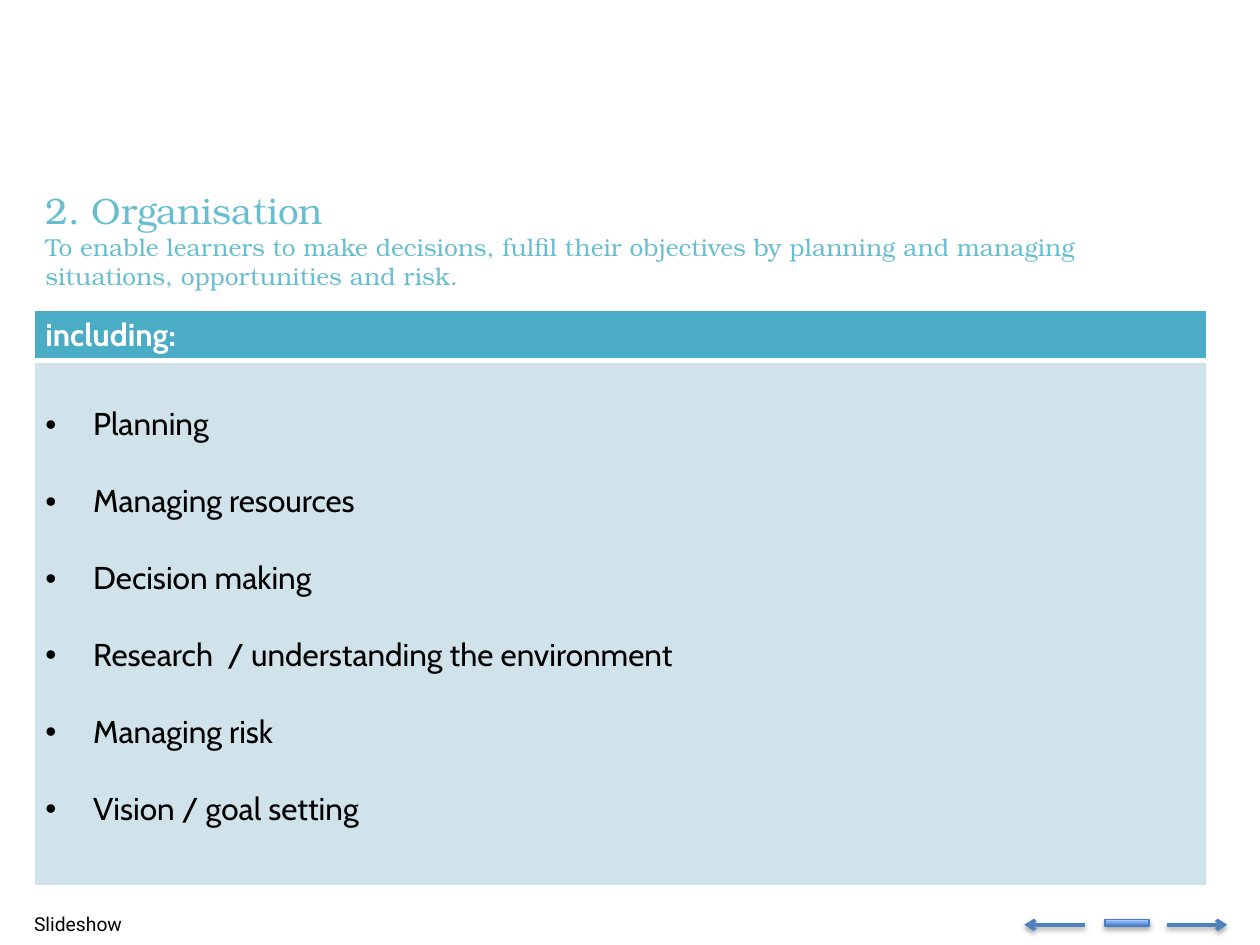
"""Build the Organisation slide: a heading, a list table and navigation marks."""
from dataclasses import dataclass
from typing import Any, Optional

from lxml import etree
from pptx import Presentation
from pptx.dml.color import RGBColor
from pptx.enum.shapes import MSO_CONNECTOR, MSO_SHAPE
from pptx.enum.text import MSO_ANCHOR, MSO_AUTO_SIZE, PP_ALIGN
from pptx.oxml.ns import qn
from pptx.util import Inches, Pt

STRAIGHT = MSO_CONNECTOR.STRAIGHT
RECTANGLE = MSO_SHAPE.RECTANGLE
TOP = MSO_ANCHOR.TOP
GROW = MSO_AUTO_SIZE.SHAPE_TO_FIT_TEXT
LEFT = PP_ALIGN.LEFT
TITLE_ONLY = 5
COLUMNS, ROWS = 100, 75
CELL = Inches(0.1)


@dataclass(frozen=True)
class TextStyle:
    size: float
    face: str
    color: str
    bold: bool = False


@dataclass(frozen=True)
class Theme:
    heading: TextStyle = TextStyle(21, "TeX Gyre Bonum", "67BED0")
    aim: TextStyle = TextStyle(14, "TeX Gyre Bonum", "67BED0")
    footer: TextStyle = TextStyle(11, "Roboto", "000000")
    header: TextStyle = TextStyle(18, "Cabin", "FFFFFF", True)
    item: TextStyle = TextStyle(18, "Cabin", "000000")
    header_fill: str = "4BACC6"
    list_fill: str = "D0E3EA"
    border: str = "FFFFFF"
    arrow: str = "4F81BD"
    bar_line: str = "4B7EBC"
    bar_stops: tuple[str, str] = ("3F80CE", "A4C4FF")


@dataclass(frozen=True)
class Area:
    column: float
    row: float
    columns: float
    rows: float

    def lengths(self) -> list[int]:
        return [grid(n) for n in (self.column, self.row, self.columns, self.rows)]


@dataclass(frozen=True)
class Arrow:
    start: float
    end: float


THEME = Theme()
HEADING_AREA = Area(2.7, 14.5, 92.3, 9.1)
FOOTER_AREA = Area(1.8, 72, 95.8, 2.7)
TABLE_AREA = Area(2.7, 24.6, 93.1, 45.6)
BAR_AREA = Area(87.7, 73, 3.5, 0.5)
HEADER_ROWS = 3.9
ARROW_ROW = 73.4
ARROWS = [Arrow(92.6, 97.4), Arrow(86.1, 81.3)]
HEADING = [
    ("2. Organisation", THEME.heading),
    ("To enable learners to make decisions, fulfil their objectives by planning "
     "and managing situations, opportunities and risk.", THEME.aim),
]
ITEMS = ["Planning", "Managing resources", "Decision making",
         "Research  / understanding the environment", "Managing risk",
         "Vision / goal setting"]


def grid(count: float) -> int:
    return round(count * CELL)


def set_values(target: Any, values: dict[str, Any]) -> None:
    for name, value in values.items():
        setattr(target, name, value)


def add_element(parent: Any, tag: str, **attributes: Any) -> Any:
    return etree.SubElement(parent, qn(tag), {k: str(v) for k, v in attributes.items()})


def write(frame: Any, lines: list[tuple[str, TextStyle]], bullet: Optional[str] = None) -> None:
    for index, (text, style) in enumerate(lines):
        para = frame.add_paragraph() if index else frame.paragraphs[0]
        para.alignment = LEFT
        if bullet:
            para.line_spacing = 2.0
            properties = para._p.get_or_add_pPr()
            properties.set("marL", str(Inches(0.38)))
            properties.set("indent", str(-Inches(0.38)))
            add_element(properties, "a:buFont", typeface="Arial")
            add_element(properties, "a:buChar", char=bullet)
        span = para.add_run()
        span.text = text
        set_values(span.font, {"size": Pt(style.size), "name": style.face, "bold": style.bold})
        span.font.color.rgb = RGBColor.from_string(style.color)


def fill_box(box: Any, area: Area, lines: list[tuple[str, TextStyle]]) -> None:
    set_values(box, dict(zip(("left", "top", "width", "height"), area.lengths())))
    set_values(box.text_frame, {
        "word_wrap": True, "auto_size": GROW, "vertical_anchor": TOP,
        "margin_left": Inches(0.09), "margin_right": Inches(0.09),
        "margin_top": Inches(0.04), "margin_bottom": Inches(0.04)})
    write(box.text_frame, lines)


def format_cell(cell: Any, fill: str, bottom: float) -> None:
    properties = cell._tc.get_or_add_tcPr()
    for side, width in (("L", 1), ("R", 1), ("T", 1), ("B", bottom)):
        line = add_element(properties, f"a:ln{side}", w=Pt(width))
        add_element(add_element(line, "a:solidFill"), "a:srgbClr", val=THEME.border)
    cell.fill.solid()
    cell.fill.fore_color.rgb = RGBColor.from_string(fill)
    set_values(cell, {"margin_left": Inches(0.09), "margin_right": Inches(0.09),
                      "margin_top": Inches(0.05), "margin_bottom": Inches(0.05)})


def add_list_table(page: Any) -> None:
    table = page.shapes.add_table(2, 1, *TABLE_AREA.lengths()).table
    table.horz_banding = False
    table.rows[0].height = grid(HEADER_ROWS)
    table.rows[1].height = grid(TABLE_AREA.rows - HEADER_ROWS)
    header, body = table.cell(0, 0), table.cell(1, 0)
    format_cell(header, THEME.header_fill, 3)
    format_cell(body, THEME.list_fill, 1)
    write(header.text_frame, [("including:", THEME.header)])
    write(body.text_frame, [(item, THEME.item) for item in ITEMS], "•")


def set_line(shape: Any, color: str, width: float) -> None:
    shape.line.color.rgb = RGBColor.from_string(color)
    shape.line.width = Pt(width)


def add_shadow(shape: Any, distance: float, opacity: int) -> None:
    effects = add_element(shape._element.spPr, "a:effectLst")
    shadow = add_element(effects, "a:outerShdw", blurRad=Pt(3.1), dist=Pt(distance),
                         dir=90 * 60000, rotWithShape=0)
    color = add_element(shadow, "a:srgbClr", val="000000")
    add_element(color, "a:alpha", val=opacity * 1000)


def add_arrow(page: Any, arrow: Arrow) -> None:
    row = grid(ARROW_ROW)
    connector = page.shapes.add_connector(STRAIGHT, grid(arrow.start), row, grid(arrow.end), row)
    set_line(connector, THEME.arrow, 2)
    add_element(connector._element.spPr.find(qn("a:ln")), "a:tailEnd", type="arrow")
    add_shadow(connector, 1.6, 38)


def add_bar(page: Any) -> None:
    bar = page.shapes.add_shape(RECTANGLE, *BAR_AREA.lengths())
    bar.fill.gradient()
    bar.fill.gradient_angle = 90
    for stop, position, color in zip(bar.fill.gradient_stops, (0, 1), THEME.bar_stops):
        stop.position = position
        stop.color.rgb = RGBColor.from_string(color)
    set_line(bar, THEME.bar_line, 0.75)
    add_shadow(bar, 1.8, 35)


def main() -> None:
    deck = Presentation()
    set_values(deck, {"slide_width": COLUMNS * CELL, "slide_height": ROWS * CELL})
    page = deck.slides.add_slide(deck.slide_layouts[TITLE_ONLY])
    fill_box(page.shapes.title, HEADING_AREA, HEADING)
    footer = page.shapes.add_textbox(*FOOTER_AREA.lengths())
    fill_box(footer, FOOTER_AREA, [("Slideshow", THEME.footer)])
    add_list_table(page)
    for arrow in ARROWS:
        add_arrow(page, arrow)
    add_bar(page)
    deck.save("out.pptx")


if __name__ == "__main__":
    main()
